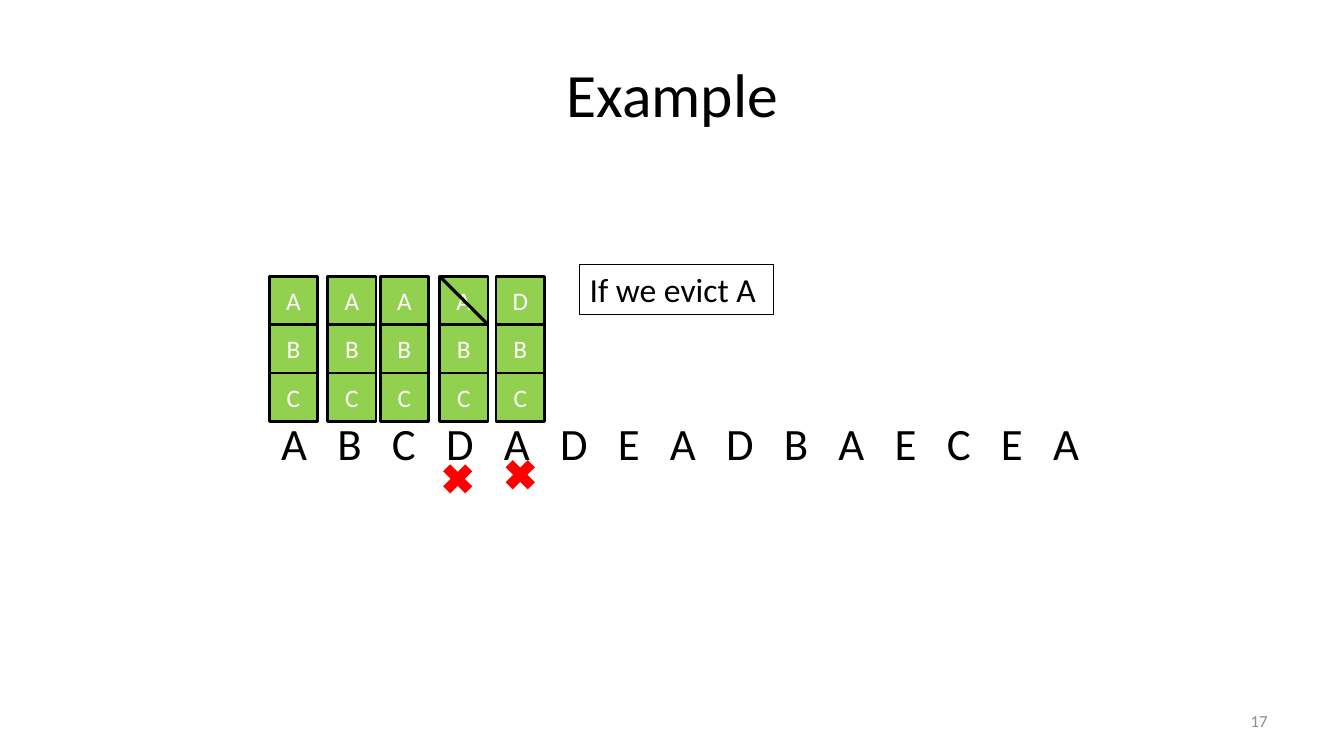
from lxml.etree import SubElement
from pptx import Presentation
from pptx.dml.color import RGBColor
from pptx.enum.shapes import MSO_CONNECTOR, MSO_SHAPE
from pptx.enum.text import MSO_ANCHOR, PP_ALIGN
from pptx.oxml.ns import qn
from pptx.util import Inches, Pt

CELL = 0.48
CACHE_TOP = 2.74
CACHE_STATES = [(2.67, "ABC"), (3.25, "ABC"), (3.77, "ABC"), (4.36, "ABC"), (4.92, "DBC")]
EVICTED_LEFT = 4.36
MISSES = [(4.33, 4.54), (4.95, 4.5)]
REQUESTS = "ABCDADEADBAECEA"
LETTER_WIDTHS = {"A": 0.257, "B": 0.242, "C": 0.237, "D": 0.273, "E": 0.217}
LETTER_GAP = 0.3


def color(value):
    """Turn a hex string into a colour."""
    return RGBColor.from_string(value)


def place(shape, left, top, width, height):
    """Move and size a shape, in inches."""
    shape.left, shape.top = Inches(left), Inches(top)
    shape.width, shape.height = Inches(width), Inches(height)


def write(shape, text, size, ink="000000", align=PP_ALIGN.LEFT, anchor=MSO_ANCHOR.TOP, tabs=()):
    """Write one formatted paragraph into a shape."""
    frame = shape.text_frame
    frame.word_wrap = True
    frame.vertical_anchor = anchor
    para = frame.paragraphs[0]
    para.text = text
    para.alignment = align
    if tabs:
        stops = SubElement(para._p.get_or_add_pPr(), qn("a:tabLst"))
        for position in tabs:
            SubElement(stops, qn("a:tab"), pos=str(Inches(position)), algn="l")
    para.font.name = "Calibri"
    para.font.size = Pt(size)
    para.font.color.rgb = color(ink)


def add_label(page, text, left, top, width, height, **style):
    """Add a text box and return it."""
    box = page.shapes.add_textbox(Inches(left), Inches(top), Inches(width), Inches(height))
    write(box, text, **style)
    return box


def add_filled(shapes, kind, left, top, size, fill):
    """Add a square preset shape with a plain fill and no line."""
    shape = shapes.add_shape(kind, Inches(left), Inches(top), Inches(size), Inches(size))
    shape.shadow.inherit = False
    shape.fill.solid()
    shape.fill.fore_color.rgb = color(fill)
    shape.line.fill.background()
    return shape


def outline(shape, width):
    """Give a shape or connector a black line."""
    shape.line.color.rgb = color("000000")
    shape.line.width = Pt(width)


def add_cache(page, left, contents):
    """Add a grouped column of cache cells."""
    group = page.shapes.add_group_shape()
    for row, letter in enumerate(contents):
        cell = add_filled(group.shapes, MSO_SHAPE.RECTANGLE, left, CACHE_TOP + row * CELL, CELL, "92D050")
        outline(cell, 2)
        write(cell, letter, 18, "FFFFFF", PP_ALIGN.CENTER, MSO_ANCHOR.MIDDLE)


def add_strike(page, left, top):
    """Strike out one cache cell with a diagonal line."""
    strike = page.shapes.add_connector(
        MSO_CONNECTOR.STRAIGHT, Inches(left), Inches(top), Inches(left + CELL), Inches(top + CELL))
    outline(strike, 2.25)
    SubElement(strike._element.spPr, qn("a:effectLst"))


def add_requests(page):
    """Add the request sequence, one tab stop per letter."""
    tabs, position = [], 0
    for letter in REQUESTS[:-1]:
        position += LETTER_WIDTHS[letter] + LETTER_GAP
        tabs.append(position)
    add_label(page, "\t".join(REQUESTS), 2.69, 4.08, 8.23, 0.64, size=32, tabs=tabs)


def main():
    """Build the slide and save it."""
    deck = Presentation()
    deck.slide_width, deck.slide_height = Inches(13.33), Inches(7.5)
    page = deck.slides.add_slide(deck.slide_layouts[5])
    title = page.shapes.title
    place(title, 0.67, 0.3, 12, 1.25)
    write(title, "Example", 44, align=PP_ALIGN.CENTER, anchor=MSO_ANCHOR.MIDDLE)
    add_label(page, "17", 9.56, 6.95, 3.11, 0.4, size=12, ink="8C8C8C",
              align=PP_ALIGN.RIGHT, anchor=MSO_ANCHOR.MIDDLE)
    add_requests(page)
    for left, top in MISSES:
        add_filled(page.shapes, MSO_SHAPE.MATH_MULTIPLY, left, top, 0.42, "FF0000")
    outline(add_label(page, "If we evict A", 5.75, 2.62, 1.92, 0.5, size=24), 0.75)
    for left, contents in CACHE_STATES:
        add_cache(page, left, contents)
    add_strike(page, EVICTED_LEFT, CACHE_TOP)
    deck.save("out.pptx")


if __name__ == "__main__":
    main()
